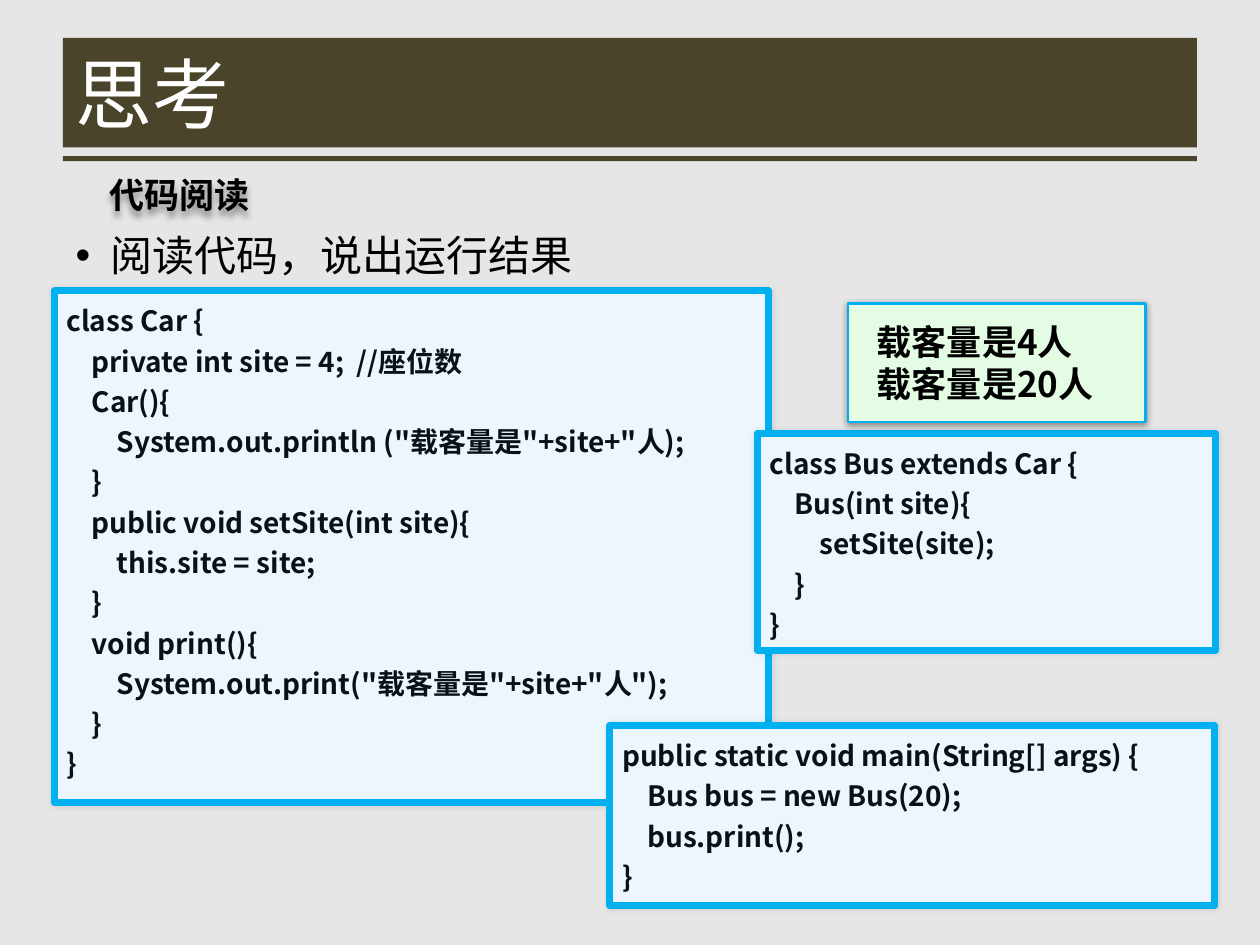
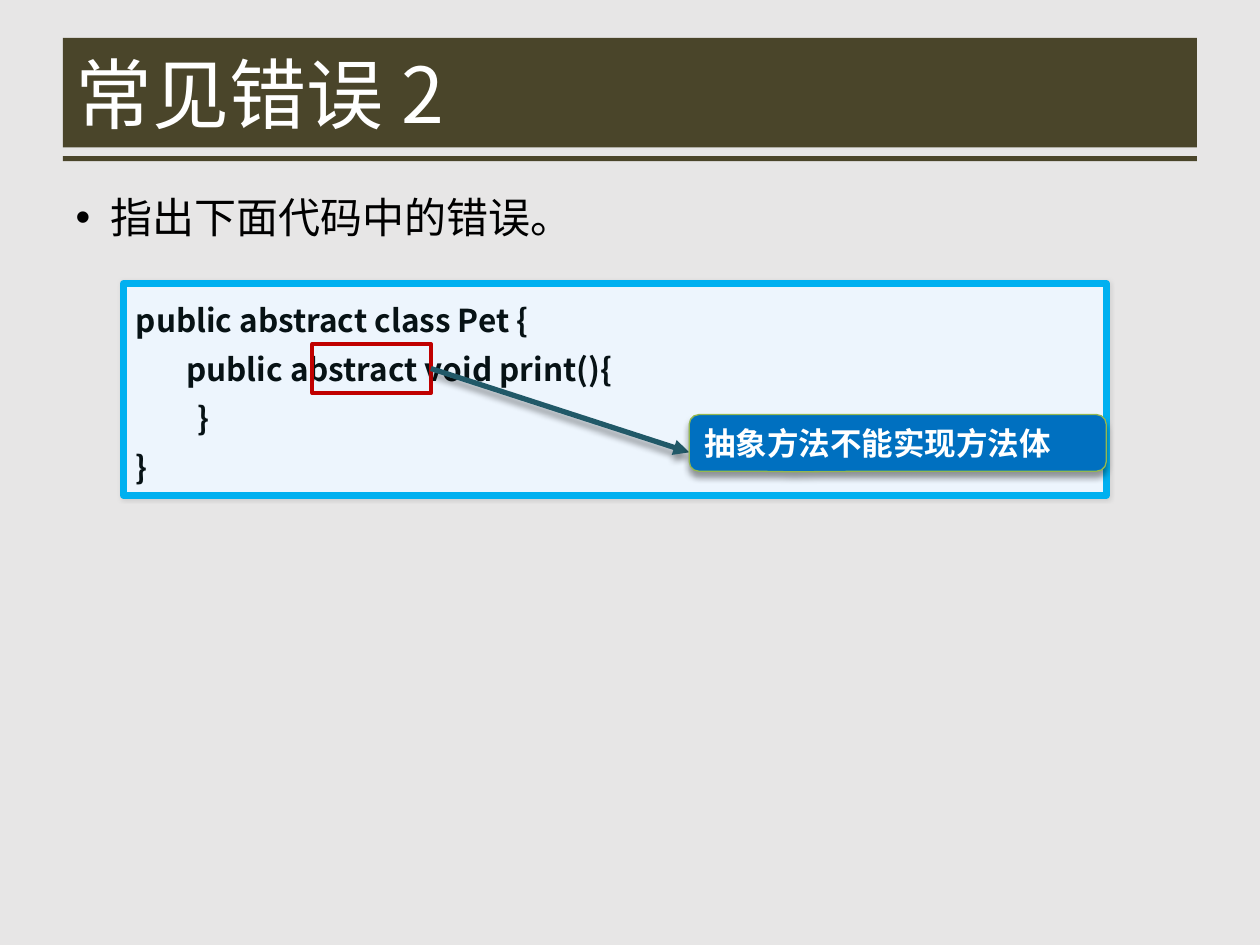
from dataclasses import dataclass
from typing import NamedTuple

from lxml import etree
from pptx import Presentation
from pptx.dml.color import RGBColor
from pptx.enum.shapes import MSO_CONNECTOR, MSO_SHAPE
from pptx.enum.text import MSO_ANCHOR, PP_ALIGN
from pptx.oxml.ns import qn
from pptx.util import Inches, Pt

RECTANGLE = MSO_SHAPE.RECTANGLE
ROUNDED = MSO_SHAPE.ROUNDED_RECTANGLE
CALLOUT = MSO_SHAPE.ROUNDED_RECTANGULAR_CALLOUT
STRAIGHT = MSO_CONNECTOR.STRAIGHT
TOP, MIDDLE = MSO_ANCHOR.TOP, MSO_ANCHOR.MIDDLE
LEFT = PP_ALIGN.LEFT
RIGHT_SIDE = 3

WIDTH, HEIGHT = Inches(10), Inches(7.5)
COLUMN, ROW = WIDTH / 100, HEIGHT / 75
CODE_STEP = 0.2
BULLET_INDENT = Inches(0.28)

FONT = "Noto Sans CJK SC"
BACKDROP, OLIVE, SKY = "E7E6E6", "4A452A", "00B0F0"
BLACK, WHITE, INK = "000000", "FFFFFF", "071215"
PALE_BLUE, PALE_GREEN = "EDF5FD", "E4FCE4"
RED, BLUE, LEAF, TEAL = "C00000", "0070C0", "95B74F", "215968"


class Place(NamedTuple):
    """Left, top, width and height in grid columns and rows."""
    left: float
    top: float
    width: float
    height: float

    def emu(self) -> tuple:
        return (round(self.left * COLUMN), round(self.top * ROW),
                round(self.width * COLUMN), round(self.height * ROW))


class Shadow(NamedTuple):
    """Opacity in percent, blur and downward distance in points."""
    opacity: int
    blur: float
    distance: float


class Line(NamedTuple):
    depth: float
    text: str


class TextStyle(NamedTuple):
    size: float
    color: str
    bold: bool = True
    font: str = FONT


@dataclass
class Look:
    fill: str | None = None
    line: str | None = None
    weight: float = 0
    shadow: Shadow | None = None
    adjustments: tuple = ()


@dataclass
class CodePanel:
    place: Place
    lines: list[Line]
    size: float = 16
    spacing: float = 1.2


GLOW, LIFT, DROP = Shadow(10, 3, 0), Shadow(40, 4, 1), Shadow(40, 4, 3)
TITLE_PLACE = Place(5, 3, 90, 8.7)
RULE_PLACE = Place(5, 12.4, 90, 0.4)
TITLE_STYLE = TextStyle(44, WHITE, False)
BODY_STYLE = TextStyle(24, BLACK, False)
NOTE_STYLE = TextStyle(20, BLACK)
CODE_LOOK = Look(PALE_BLUE, SKY, 4, GLOW, (0,))

READING_PANELS = [
    CodePanel(Place(4.3, 23.1, 56.7, 40.6), [
        Line(0, "class Car {"),
        Line(1, "private int site = 4;  //座位数"),
        Line(1, "Car(){"),
        Line(2, 'System.out.println ("载客量是"+site+"人);'),
        Line(1, "}"),
        Line(1, "public void setSite(int site){"),
        Line(2, "this.site = site;"),
        Line(1, "}"),
        Line(1, "void print(){"),
        Line(2, 'System.out.print("载客量是"+site+"人");'),
        Line(1, "}"),
        Line(0, "}"),
    ]),
    CodePanel(Place(60.1, 34.4, 36.4, 17.2), [
        Line(0, "class Bus extends Car {"),
        Line(1, "Bus(int site){"),
        Line(2, "setSite(site);"),
        Line(1, "}"),
        Line(0, "}"),
    ]),
    CodePanel(Place(48.4, 57.6, 48, 14.3), [
        Line(0, "public static void main(String[] args) {"),
        Line(1, "Bus bus = new Bus(20);"),
        Line(1, "bus.print();"),
        Line(0, "}"),
    ]),
]
ABSTRACT_PANEL = CodePanel(Place(9.8, 22.5, 78, 16.8), [
    Line(0, "public abstract class Pet {"),
    Line(2, "public abstract void print(){"),
    Line(2.45, "}"),
    Line(0, "}"),
], size=18, spacing=1.3)


def rgb(value: str) -> RGBColor:
    return RGBColor.from_string(value)


def apply(target, formats: dict) -> None:
    for name, value in formats.items():
        setattr(target, name, value)


def set_shadow(shape, shadow: Shadow | None) -> None:
    effects = etree.SubElement(shape._element.spPr, qn("a:effectLst"))
    if shadow is None:
        return
    outer = etree.SubElement(effects, qn("a:outerShdw"), {
        "blurRad": str(Pt(shadow.blur)), "dist": str(Pt(shadow.distance)),
        "dir": "5400000", "algn": "ctr", "rotWithShape": "0"})
    color = etree.SubElement(outer, qn("a:srgbClr"), val=BLACK)
    etree.SubElement(color, qn("a:alpha"), val=str(shadow.opacity * 1000))


def write(para, text: str, style: TextStyle) -> None:
    para.alignment = LEFT
    span = para.add_run()
    span.text = text
    apply(span.font, {"size": Pt(style.size), "bold": style.bold, "name": style.font})
    span.font.color.rgb = rgb(style.color)
    etree.SubElement(span._r.get_or_add_rPr(), qn("a:ea"), typeface=FONT)


def write_lines(box, texts: list[str], style: TextStyle, **frame_formats) -> list:
    """Fill the box with one paragraph per text and return the paragraphs."""
    frame = box.text_frame
    apply(frame, {"word_wrap": True, **frame_formats})
    for _ in texts[1:]:
        frame.add_paragraph()
    for para, text in zip(frame.paragraphs, texts):
        write(para, text, style)
    return list(frame.paragraphs)


def add_box(page, kind, place: Place, look: Look):
    box = page.shapes.add_shape(kind, *place.emu())
    for index, value in enumerate(look.adjustments):
        box.adjustments[index] = value
    if look.fill:
        box.fill.solid()
        box.fill.fore_color.rgb = rgb(look.fill)
    else:
        box.fill.background()
    if look.line:
        box.line.color.rgb = rgb(look.line)
        box.line.width = Pt(look.weight)
    else:
        box.line.fill.background()
    set_shadow(box, look.shadow)
    return box


def add_code(page, panel: CodePanel) -> None:
    box = add_box(page, ROUNDED, panel.place, CODE_LOOK)
    paras = write_lines(box, [line.text for line in panel.lines],
                        TextStyle(panel.size, INK), vertical_anchor=TOP)
    for para, line in zip(paras, panel.lines):
        para.line_spacing = panel.spacing
        para._p.get_or_add_pPr().set("marL", str(Inches(line.depth * CODE_STEP)))


def add_page(deck, title: str, task: str, body_top: float):
    page = deck.slides.add_slide(deck.slide_layouts[1])
    write_lines(page.shapes.title, [title], TITLE_STYLE, vertical_anchor=MIDDLE)
    body = page.placeholders[1]
    place = Place(5, body_top, 90, 67 - body_top)
    apply(body, dict(zip(("left", "top", "width", "height"), place.emu())))
    para, = write_lines(body, [task], BODY_STYLE)
    properties = para._p.get_or_add_pPr()
    properties.set("marL", str(BULLET_INDENT))
    properties.set("indent", str(-BULLET_INDENT))
    return page


def move_bands_to_layout(page) -> None:
    """Draw the title band and its rule behind every page of the layout."""
    layout = page.slide_layout
    for holder in list(layout.placeholders)[2:]:
        holder._element.getparent().remove(holder._element)
    apply(layout.placeholders[0],
          dict(zip(("left", "top", "width", "height"), TITLE_PLACE.emu())))
    for place in (TITLE_PLACE, RULE_PLACE):
        band = add_box(page, RECTANGLE, place, Look(OLIVE))
        layout.shapes._spTree.insert(2, band._element)


def add_reading_page(deck):
    page = add_page(deck, "思考", "阅读代码，说出运行结果", 17.7)
    move_bands_to_layout(page)
    for panel in READING_PANELS:
        add_code(page, panel)
    answer = add_box(page, ROUNDED, Place(67.3, 24.1, 23.6, 9.4),
                     Look(PALE_GREEN, SKY, 1.5, LIFT, (0,)))
    write_lines(answer, ["载客量是4人", "载客量是20人"], NOTE_STYLE,
                vertical_anchor=MIDDLE, margin_left=Inches(0.23))
    label = page.shapes.add_textbox(*Place(7.7, 13.3, 13.3, 4.4).emu())
    write_lines(label, ["代码阅读"], NOTE_STYLE, word_wrap=False)
    set_shadow(label, DROP)


def add_mistake_page(deck):
    page = add_page(deck, "常见错误 2", "指出下面代码中的错误。", 14.7)
    add_code(page, ABSTRACT_PANEL)
    marker = add_box(page, RECTANGLE, Place(24.8, 27.3, 9.4, 3.9),
                     Look(line=RED, weight=2.25))
    arrow = page.shapes.add_connector(
        STRAIGHT, *Place(34.3, 29.2, 54.7, 35.9).emu())
    arrow.begin_connect(marker, RIGHT_SIDE)
    arrow.line.color.rgb = rgb(TEAL)
    arrow.line.width = Pt(3)
    etree.SubElement(arrow.line._get_or_add_ln(), qn("a:tailEnd"), type="triangle")
    set_shadow(arrow, DROP)
    reason = add_box(page, CALLOUT, Place(54.7, 32.9, 33.1, 4.5),
                     Look(BLUE, LEAF, 0.75, DROP, (-0.25, 0.51, 0.17)))
    write_lines(reason, ["抽象方法不能实现方法体"],
                TextStyle(18, WHITE, font="Arial"), vertical_anchor=MIDDLE)


def main() -> None:
    deck = Presentation()
    apply(deck, {"slide_width": WIDTH, "slide_height": HEIGHT})
    backdrop = deck.slide_master.background.fill
    backdrop.solid()
    backdrop.fore_color.rgb = rgb(BACKDROP)
    add_reading_page(deck)
    add_mistake_page(deck)
    deck.save("out.pptx")


if __name__ == "__main__":
    main()
